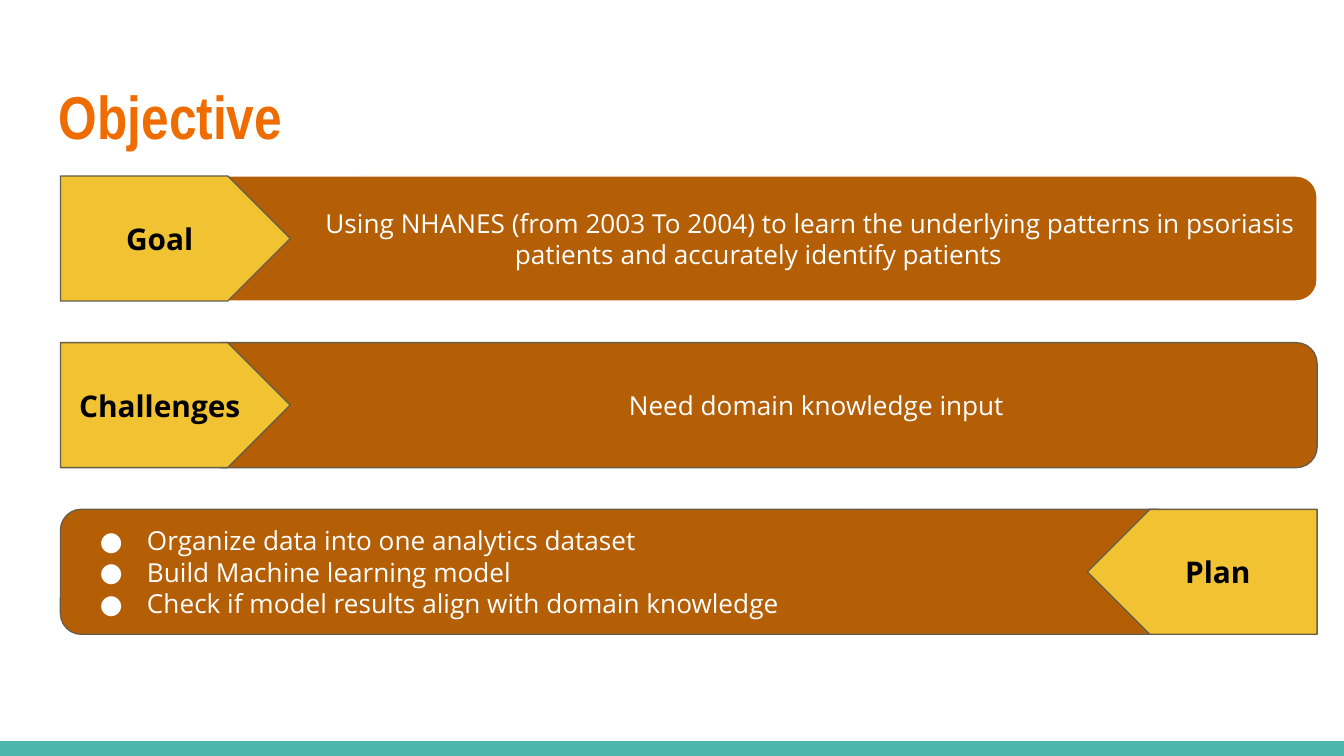
from dataclasses import dataclass

from lxml.etree import SubElement
from pptx import Presentation
from pptx.dml.color import RGBColor as Rgb
from pptx.enum.shapes import MSO_SHAPE as Kind
from pptx.enum.text import MSO_ANCHOR as Anchor, PP_ALIGN as Align
from pptx.oxml.ns import qn
from pptx.util import Inches, Pt

WIDE = 10
HIGH = WIDE * 9 / 16
# Grid: three equal rows between two margins
LEFT, RIGHT = 0.45, 9.8
TOP, PITCH, ROW = 1.31, 1.24, 0.93
BAR, TAG = 8.31, 1.71
STRIP = 0.11
INK = {
    "page": "FFFFFF", "strip": "4DB6AC", "title": "EF6C00", "bar": "B45F06",
    "tag": "F1C232", "edge": "695D46", "light": "FFFFFF", "dark": "000000",
}


@dataclass
class Font:
    name: str
    size: float
    ink: str
    bold: bool = False


@dataclass
class Row:
    label: str
    lines: list[str]
    edge: str = "edge"
    shift: float = 0  # first-line indent of centred text
    right: bool = False  # tag on the right, lines as bullets


HEAD = Font("Arial Narrow", 32.4, "title", True)
BODY = Font("Open Sans", 14, "light")
NAME = Font("Open Sans", 16, "dark", True)
ROWS = [
    Row("Goal", ["Using NHANES (from 2003 To 2004) to learn the underlying "
                 "patterns in psoriasis patients and accurately identify patients"],
        edge="light", shift=0.77),
    Row("Challenges", ["Need domain knowledge input"], shift=0.86),
    Row("Plan", ["Organize data into one analytics dataset",
                 "Build Machine learning model",
                 "Check if model results align with domain knowledge"], right=True),
]


def color(key: str) -> Rgb:
    return Rgb.from_string(INK[key])


def block(slide, kind, x: float, y: float, w: float, h: float, fill: str, edge: str = ""):
    shape = slide.shapes.add_shape(kind, Inches(x), Inches(y), Inches(w), Inches(h))
    shape.shadow.inherit = False
    shape.fill.solid()
    shape.fill.fore_color.rgb = color(fill)
    if edge:
        shape.line.color.rgb = color(edge)
        shape.line.width = Pt(0.75)
    else:
        shape.line.fill.background()
    return shape


def indent(para, margin: float, first: float, bullet: bool = False) -> None:
    props = para._p.get_or_add_pPr()
    props.set("marL", str(Inches(margin)))
    props.set("indent", str(Inches(first)))
    if bullet:
        tint = SubElement(props, qn("a:buClr"))
        SubElement(tint, qn("a:srgbClr"), val=INK["light"])
        SubElement(props, qn("a:buSzPct"), val="100000")
        SubElement(props, qn("a:buFont"), typeface=BODY.name)
        SubElement(props, qn("a:buChar"), char="●")


def write(shape, lines: list[str], font: Font, align=Align.CENTER,
          anchor=Anchor.MIDDLE) -> list:
    frame = shape.text_frame
    frame.word_wrap = True
    frame.vertical_anchor = anchor
    frame.margin_left = frame.margin_right = Inches(0.1)
    frame.margin_top = frame.margin_bottom = Inches(0.1)
    for i, line in enumerate(lines):
        para = frame.add_paragraph() if i else frame.paragraphs[0]
        para.alignment = align
        run = para.add_run()
        run.text = line
        run.font.name, run.font.size = font.name, Pt(font.size)
        run.font.bold = font.bold
        run.font.color.rgb = color(font.ink)
    return list(frame.paragraphs)


def draw(slide, row: Row, y: float) -> None:
    # Bar with its text
    x = LEFT if row.right else RIGHT - BAR
    bar = block(slide, Kind.ROUNDED_RECTANGLE, x, y, BAR, ROW, "bar", row.edge)
    paras = write(bar, row.lines, BODY, Align.LEFT if row.right else Align.CENTER)
    for para in paras:
        if row.right:
            indent(para, 0.5, -0.35, bullet=True)
        else:
            indent(para, 0, row.shift)

    # Arrow tag over the end of the bar
    x = RIGHT - TAG if row.right else LEFT
    tag = block(slide, Kind.PENTAGON, x, y, TAG, ROW, "tag", "edge")
    if row.right:
        tag._element.spPr.find(qn("a:xfrm")).set("flipH", "1")
    write(tag, [row.label], NAME)


def main() -> None:
    deck = Presentation()
    deck.slide_width, deck.slide_height = Inches(WIDE), Inches(HIGH)
    slide = deck.slides.add_slide(deck.slide_layouts[6])
    slide.background.fill.solid()
    slide.background.fill.fore_color.rgb = color("page")

    # Bottom strip and title
    block(slide, Kind.RECTANGLE, 0, HIGH - STRIP, WIDE, STRIP, "strip")
    title = slide.shapes.add_textbox(Inches(0.34), Inches(0.49), Inches(9.32), Inches(0.77))
    write(title, ["Objective"], HEAD, Align.LEFT, Anchor.TOP)

    # Labelled rows
    for i, row in enumerate(ROWS):
        draw(slide, row, TOP + i * PITCH)
    deck.save("out.pptx")


if __name__ == "__main__":
    main()
